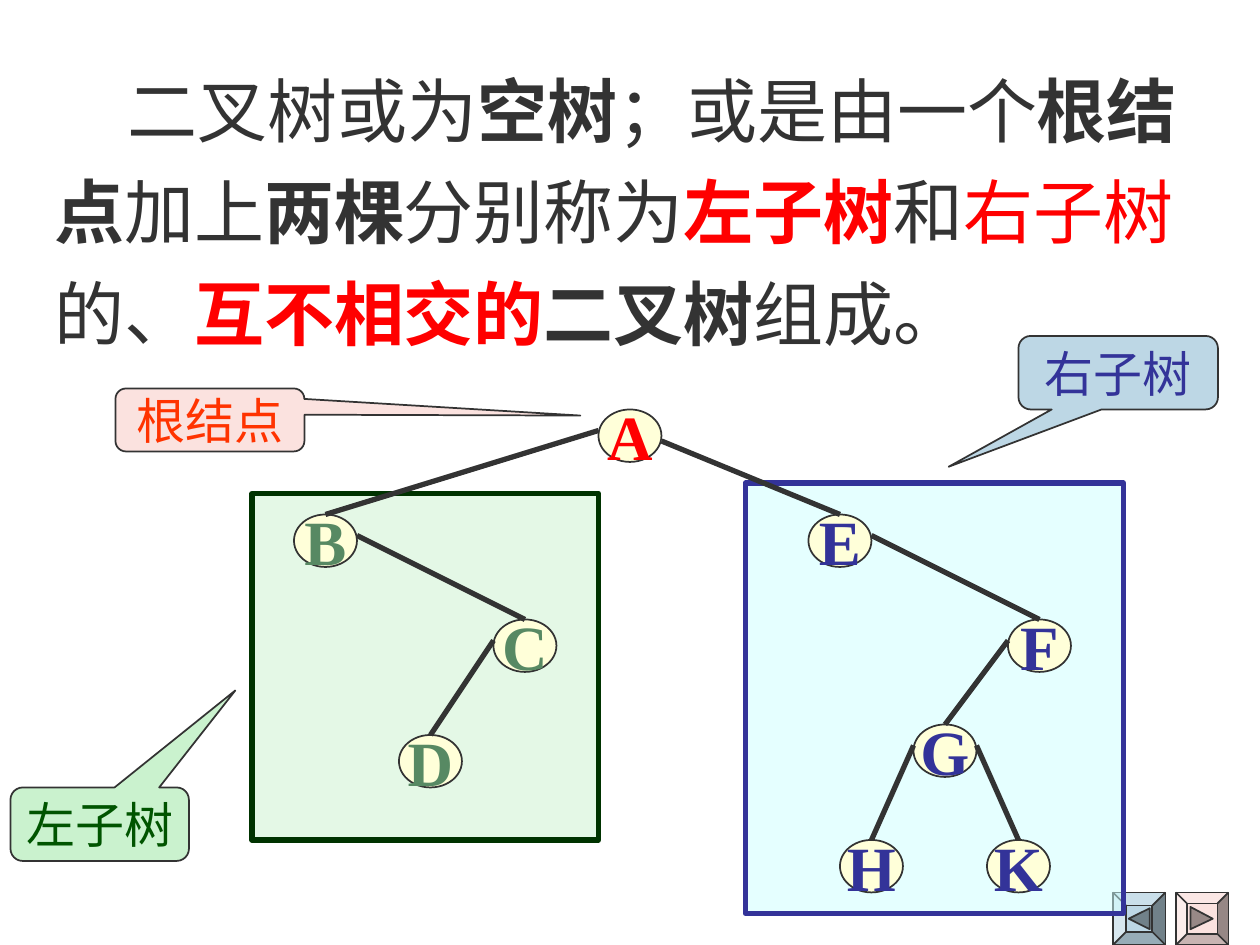
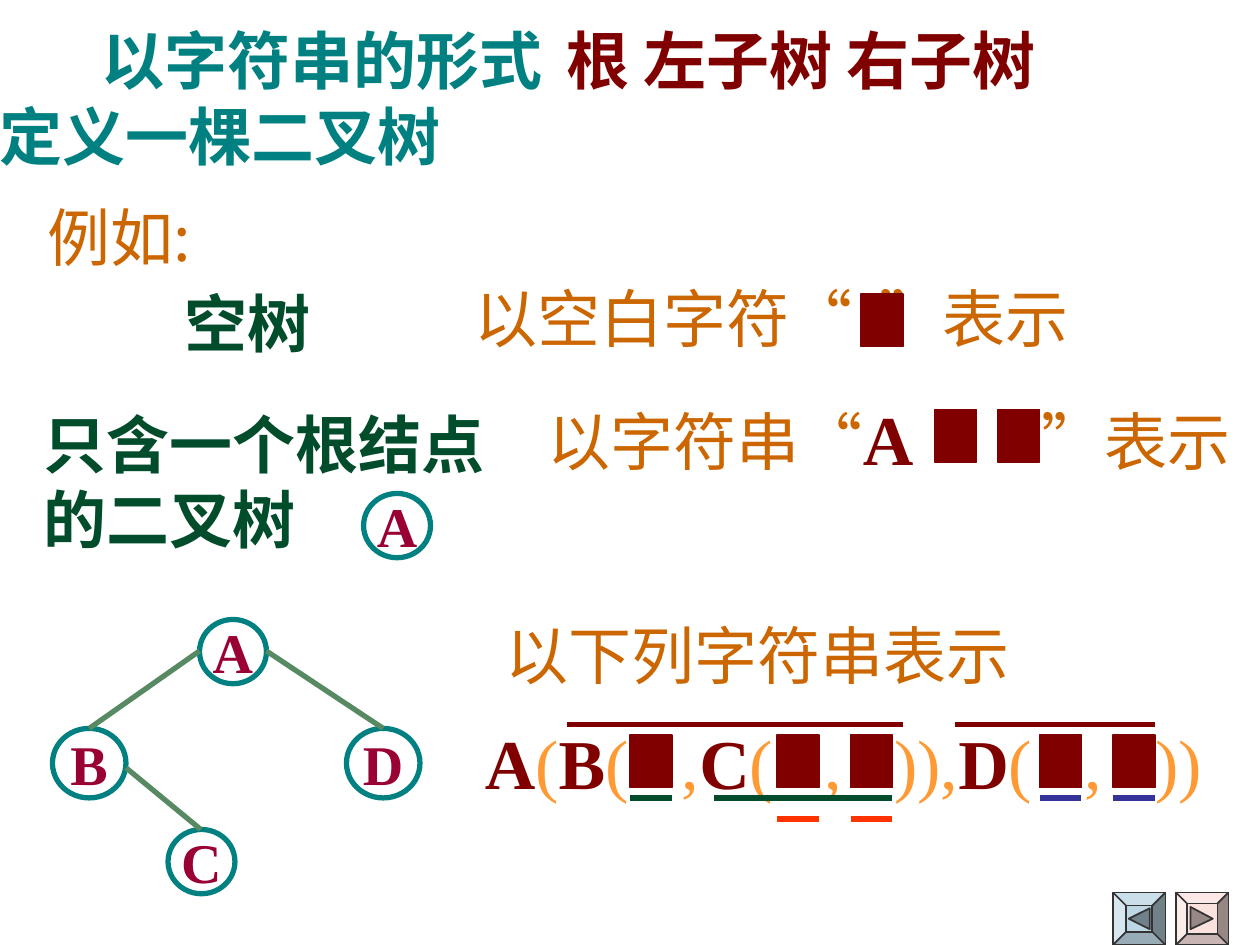
from dataclasses import dataclass
from typing import NamedTuple

from lxml import etree
from pptx import Presentation
from pptx.dml.color import RGBColor
from pptx.enum.shapes import MSO_CONNECTOR, MSO_SHAPE
from pptx.enum.text import MSO_ANCHOR, PP_ALIGN
from pptx.oxml.ns import qn
from pptx.util import Emu, Pt

PX = 9525  # 96 px to the inch
SERIF, SANS = "Times New Roman", "Noto Sans CJK SC"
INK, RED, NAVY, SAGE = "333333", "FF0000", "333399", "578963"
TEAL, MAROON, CRIMSON, OCHRE = "008080", "800000", "990033", "CC6600"
FOREST, ORANGE, SCARLET, CREAM = "004C2B", "FF9933", "FF3300", "FFFFD9"
SKY, ROSE, MINT = "BDD7E5", "FBE2DF", "CAF2CE"


class Run(NamedTuple):
    text: str
    size: int
    color: str
    bold: bool = False
    font: str = SERIF


class Box(NamedTuple):
    x: int
    y: int
    w: int
    h: int


@dataclass
class Node:
    label: str
    box: Box
    color: str


@dataclass
class Edge:
    parent: str
    child: str
    drop: int = 16


@dataclass
class Callout:
    text: str
    box: Box
    tip: tuple[float, float]
    fill: str
    color: str


@dataclass
class TextBox:
    """Paragraphs with one line pitch in points; indent and tabs in px."""
    box: Box
    paragraphs: list[list[Run]]
    pitch: int
    top: int = 5
    indent: int = 0
    tabs: tuple[int, ...] = ()
    wrap: bool = True


class Rule(NamedTuple):
    x1: int
    x2: int
    y: int
    color: str


def px(n: int) -> Emu:
    return Emu(n * PX)


def rgb(color: str) -> RGBColor:
    return RGBColor.from_string(color)


def add_run(p, run: Run) -> None:
    r = p.add_run()
    r.text = run.text
    r.font.size, r.font.bold, r.font.name = Pt(run.size), run.bold, run.font
    r.font.color.rgb = rgb(run.color)
    rPr = r.font._element
    rPr.set("lang", "zh-CN")
    etree.SubElement(rPr, qn("a:ea")).set("typeface", SANS)


def paint(sp, fill: str, line: str, width: int = 1) -> None:
    sp.shadow.inherit = False
    sp.fill.solid()
    sp.fill.fore_color.rgb = rgb(fill)
    sp.line.color.rgb = rgb(line)
    sp.line.width = Pt(width)


def add_preset(s, kind, box: Box, fill: str, line: str, width: int = 1):
    sp = s.shapes.add_shape(kind, *map(px, box))
    paint(sp, fill, line, width)
    return sp


def add_label(sp, run: Run) -> None:
    tf = sp.text_frame
    tf.word_wrap = False
    tf.vertical_anchor = MSO_ANCHOR.MIDDLE
    p = tf.paragraphs[0]
    p.alignment = PP_ALIGN.CENTER
    add_run(p, run)


def add_line(s, x1: int, y1: int, x2: int, y2: int, color: str) -> None:
    cx = s.shapes.add_connector(MSO_CONNECTOR.STRAIGHT, *map(px, (x1, y1, x2, y2)))
    cx.line.color.rgb = rgb(color)
    cx.line.width = Pt(3)
    etree.SubElement(cx._element.spPr, qn("a:effectLst"))


def add_text(s, t: TextBox) -> None:
    tf = s.shapes.add_textbox(*map(px, t.box)).text_frame
    tf.word_wrap = t.wrap
    tf.margin_top = px(t.top)
    for i, runs in enumerate(t.paragraphs):
        p = tf.paragraphs[0] if i == 0 else tf.add_paragraph()
        pPr = p._p.get_or_add_pPr()
        if i == 0 and t.indent:
            pPr.set("marL", "0")
            pPr.set("indent", str(px(t.indent)))
        if t.tabs:
            tabs = etree.SubElement(pPr, qn("a:tabLst"))
            for stop in t.tabs:
                etree.SubElement(tabs, qn("a:tab"), pos=str(px(stop)), algn="l")
        p.line_spacing = Pt(t.pitch)
        for run in runs:
            add_run(p, run)


def add_nodes(s, nodes: list[Node], size: int, fill: str, line: str | None, width: int) -> None:
    for n in nodes:
        sp = add_preset(s, MSO_SHAPE.OVAL, n.box, fill, line, width)
        add_label(sp, Run(n.label, size, n.color, True))


def add_edges(s, nodes: list[Node], edges: list[Edge], color: str) -> None:
    """Join the facing side of each parent to the top of its child."""
    boxes = {n.label: n.box for n in nodes}
    for e in edges:
        a, b = boxes[e.parent], boxes[e.child]
        x = a.x if b.x < a.x else a.x + a.w
        add_line(s, x, a.y + e.drop, b.x + b.w // 2, b.y, color)


def add_subtree_area(s, box: Box, fill: str, line: str) -> None:
    sp = add_preset(s, MSO_SHAPE.RECTANGLE, box, fill, line, 3)
    clr = sp._element.spPr.find(qn("a:solidFill"))[0]
    etree.SubElement(clr, qn("a:alpha")).set("val", "50000")


def add_callout(s, c: Callout) -> None:
    sp = add_preset(s, MSO_SHAPE.ROUNDED_RECTANGULAR_CALLOUT, c.box, c.fill, INK)
    for i, value in enumerate((*c.tip, 0.167)):
        sp.adjustments[i] = value
    add_label(sp, Run(c.text, 28, c.color))


def add_nav(s) -> None:
    buttons = [
        (848, SKY, "718189", 0.25, [(860, 700), (876, 692), (876, 708)]),
        (896, ROSE, "978886", 0.21, [(907, 691), (924, 700), (907, 708)]),
    ]
    for x, fill, dark, depth, arrow in buttons:
        sp = add_preset(s, MSO_SHAPE.BEVEL, Box(x, 680, 40, 40), fill, INK)
        sp.adjustments[0] = depth
        fb = s.shapes.build_freeform(*arrow[0], scale=PX)
        fb.add_line_segments(arrow[1:], close=True)
        paint(fb.convert_to_shape(), dark, INK)


def new_slide(prs):
    s = prs.slides.add_slide(prs.slide_layouts[6])
    add_nav(s)
    return s


def build_definition(prs) -> None:
    s = new_slide(prs)
    add_subtree_area(s, Box(568, 368, 288, 328), "CCFFFF", NAVY)
    add_subtree_area(s, Box(192, 376, 264, 264), MINT, "003300")
    definition = [
        ("二叉树或为", INK, False), ("空树", INK, True), ("；或是由一个", INK, False),
        ("根结点", INK, True), ("加上", INK, False), ("两棵", INK, True),
        ("分别称为", INK, False), ("左子树", RED, True), ("和", INK, False),
        ("右子树", RED, False), ("的、", INK, False), ("互不相交的", RED, True),
        ("二叉树", INK, True), ("组成。", INK, False),
    ]
    runs = [Run(text, 40, color, bold) for text, color, bold in definition]
    add_text(s, TextBox(Box(32, 16, 904, 255), [runs], 58, top=22, indent=56))

    places = [
        ("A", 456, 312, RED), ("B", 224, 392, SAGE), ("C", 376, 472, SAGE),
        ("D", 304, 560, SAGE), ("E", 616, 392, NAVY), ("F", 768, 472, NAVY),
        ("G", 696, 552, NAVY), ("H", 640, 640, NAVY), ("K", 752, 640, NAVY),
    ]
    nodes = [Node(label, Box(x, y, 48, 40), color) for label, x, y, color in places]
    add_nodes(s, nodes, 36, CREAM, INK, 1)
    edges = [Edge(*pair) for pair in ("AB", "BC", "CD", "EF", "FG", "GH", "GK")]
    add_edges(s, nodes, edges + [Edge("A", "E", 24)], INK)

    for c in (
        Callout("根结点", Box(88, 296, 144, 48), (1.96, -0.07), ROSE, SCARLET),
        Callout("左子树", Box(8, 600, 136, 56), (0.76, -1.82), MINT, "005400"),
        Callout("右子树", Box(776, 256, 152, 56), (-0.85, 1.28), SKY, NAVY),
    ):
        add_callout(s, c)


def build_strings(prs) -> None:
    s = new_slide(prs)

    def note(text: str) -> Run:
        return Run(text, 36, OCHRE, font=SANS)

    def case(text: str) -> Run:
        return Run(text, 36, FOREST, True)

    def letter(text: str) -> Run:
        return Run(text, 40, MAROON, True)

    def marks(text: str) -> Run:
        return Run(text, 40, ORANGE)

    title = [
        [Run("以字符串的形式\t", 36, TEAL, True), Run("根 左子树 右子树", 36, MAROON, True)],
        [Run("定义一棵二叉树", 36, TEAL, True)],
    ]
    tree_string = [
        letter("A"), marks("("), letter("B"), marks("(\t,"), letter("C"),
        marks("(\t,\t)),"), letter("D"), marks("(\t,\t))"),
    ]
    for t in (
        TextBox(Box(-10, 8, 955, 125), title, 43, top=9, indent=78, tabs=(433,), wrap=False),
        TextBox(Box(27, 141, 151, 67), [[note("例如:")]], 47, wrap=False),
        TextBox(Box(352, 192, 528, 79), [[note("以空白字符“\t”表示")]], 55, tabs=(309,)),
        TextBox(Box(360, 530, 600, 86), [tree_string], 58, tabs=(150, 259, 312, 457, 511)),
        TextBox(Box(131, 208, 142, 67), [[case("空树")]], 43, top=9),
        TextBox(Box(24, 300, 382, 125), [[case("只含一个根结点的二叉树")]], 43, top=9),
        TextBox(Box(408, 280, 552, 86),
                [[note("以字符串“"), letter("A\t"), note("”表示")]], 60, tabs=(376,)),
        TextBox(Box(376, 449, 584, 79), [[note("以下列字符串表示")]], 55),
    ):
        add_text(s, t)

    tree = [
        Node("A", Box(152, 472, 51, 49), CRIMSON), Node("B", Box(40, 555, 56, 53), CRIMSON),
        Node("C", Box(128, 632, 51, 49), CRIMSON), Node("D", Box(264, 555, 56, 53), CRIMSON),
    ]
    single_root = Node("A", Box(277, 376, 51, 49), CRIMSON)
    add_nodes(s, [*tree, single_root], 32, "FFFFFF", TEAL, 3)
    add_edges(s, tree, [Edge("A", "B", 24), Edge("A", "D", 24), Edge("B", "C", 30)], SAGE)

    blanks = {560: (480, 592, 648, 792, 848), 312: (712, 760), 224: (656,)}
    for y, xs in blanks.items():
        for x in xs:
            add_preset(s, MSO_SHAPE.RECTANGLE, Box(x, y, 32, 40), MAROON, MAROON)

    for rule in (
        Rule(432, 688, 552, MAROON), Rule(728, 880, 552, MAROON),
        Rule(480, 512, 608, FOREST), Rule(544, 680, 608, FOREST),
        Rule(792, 824, 608, NAVY), Rule(848, 880, 608, NAVY),
        Rule(592, 624, 624, SCARLET), Rule(648, 680, 624, SCARLET),
    ):
        add_line(s, rule.x1, rule.y, rule.x2, rule.y, rule.color)


def main() -> None:
    prs = Presentation()
    prs.slide_width, prs.slide_height = px(960), px(720)
    build_definition(prs)
    build_strings(prs)
    prs.save("out.pptx")


if __name__ == "__main__":
    main()
